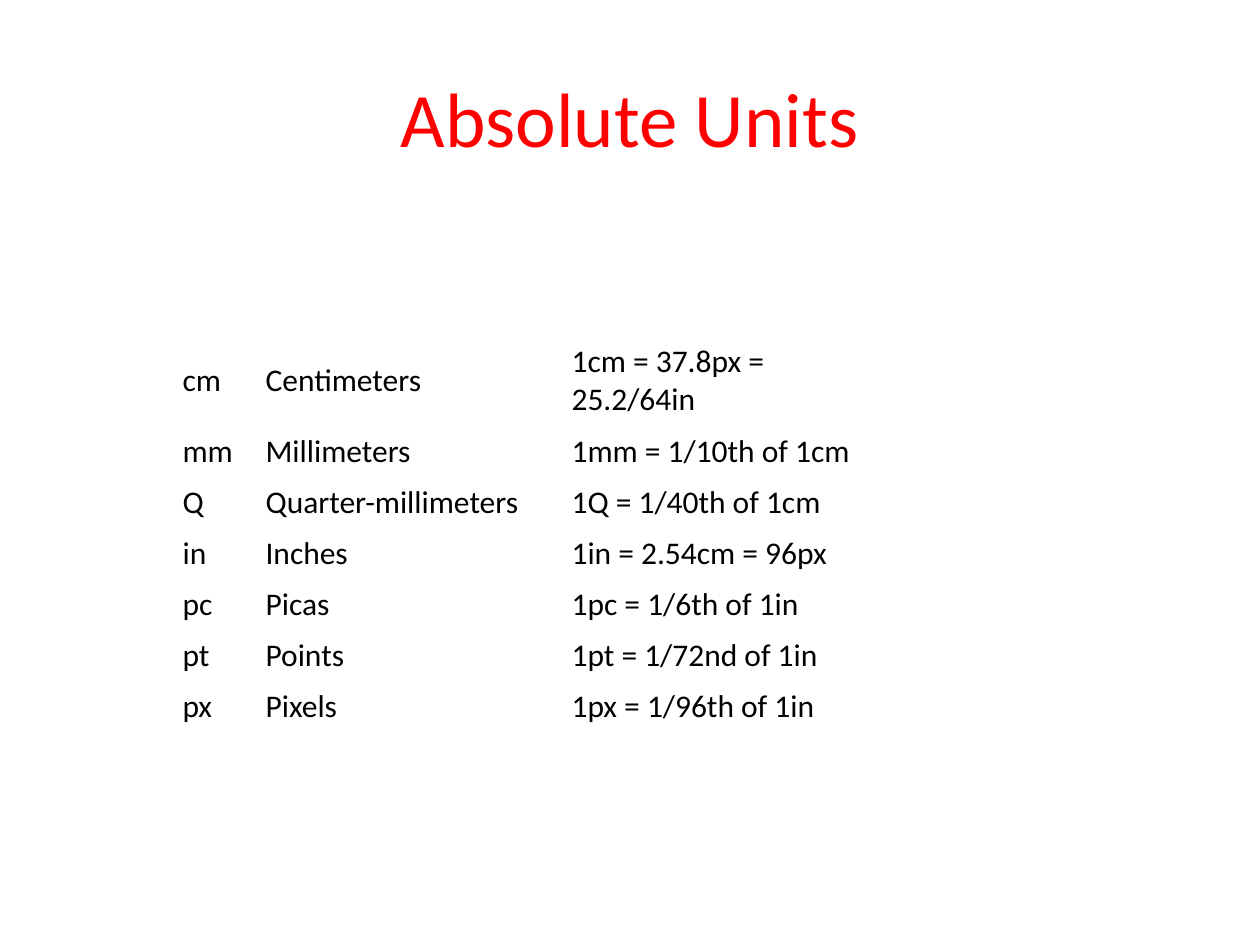
import pptx
import pptx.util
import pptx.dml.color
import pptx.enum.text

SCALE = 914400 // 126
UNITS = [
    ("cm", "Centimeters", "1cm = 37.8px = 25.2/64in"),
    ("mm", "Millimeters", "1mm = 1/10th of 1cm"),
    ("Q", "Quarter-millimeters", "1Q = 1/40th of 1cm"),
    ("in", "Inches", "1in = 2.54cm = 96px"),
    ("pc", "Picas", "1pc = 1/6th of 1in"),
    ("pt", "Points", "1pt = 1/72nd of 1in"),
    ("px", "Pixels", "1px = 1/96th of 1in"),
]


def px(num):
    """Turn pixels into EMU."""
    return pptx.util.Emu(num * SCALE)


def color(code):
    """Turn a hex string into a colour."""
    return pptx.dml.color.RGBColor.from_string(code)


def write(frame, text, size=18, ink="000000", align="LEFT"):
    """Put formatted text into a text frame."""
    para = frame.paragraphs[0]
    para.alignment = getattr(pptx.enum.text.PP_ALIGN, align)
    run = para.add_run()
    run.text = text
    run.font.name = "Calibri"
    run.font.size = pptx.util.Pt(size)
    run.font.color.rgb = color(ink)


def title(slide, box, text):
    """Place the centred heading in its box."""
    frame = slide.shapes.add_textbox(*map(px, box)).text_frame
    frame.word_wrap = True
    frame.vertical_anchor = pptx.enum.text.MSO_ANCHOR.MIDDLE
    write(frame, text, size=44, ink="FF0000", align="CENTER")


def table(slide, box, rows):
    """Place the unit table, with a narrow first column and a tall first row."""
    left, top, width, height = box
    shape = slide.shapes.add_table(len(rows), 3, *map(px, box))
    grid = shape.table
    grid.first_row = grid.horz_banding = False
    first, line = 83, 51
    rest = (width - first) // 2
    for col, wide in zip(grid.columns, (first, rest, rest)):
        col.width = px(wide)
    for row in grid.rows:
        row.height = px(line)
    grid.rows[0].height = px(height - line * (len(rows) - 1))
    for row, words in zip(grid.rows, rows):
        for cell, text in zip(row.cells, words):
            cell.fill.solid()
            cell.fill.fore_color.rgb = color("FFFFFF")
            cell.vertical_anchor = pptx.enum.text.MSO_ANCHOR.MIDDLE
            write(cell.text_frame, text)


def main():
    """Build and save the slide."""
    deck = pptx.Presentation()
    deck.slide_width, deck.slide_height = px(1260), px(945)
    slide = deck.slides.add_slide(deck.slide_layouts[6])
    title(slide, (63, 38, 1134, 158), "Absolute Units")
    table(slide, (170, 336, 695, 396), UNITS)
    deck.save("out.pptx")


main()
